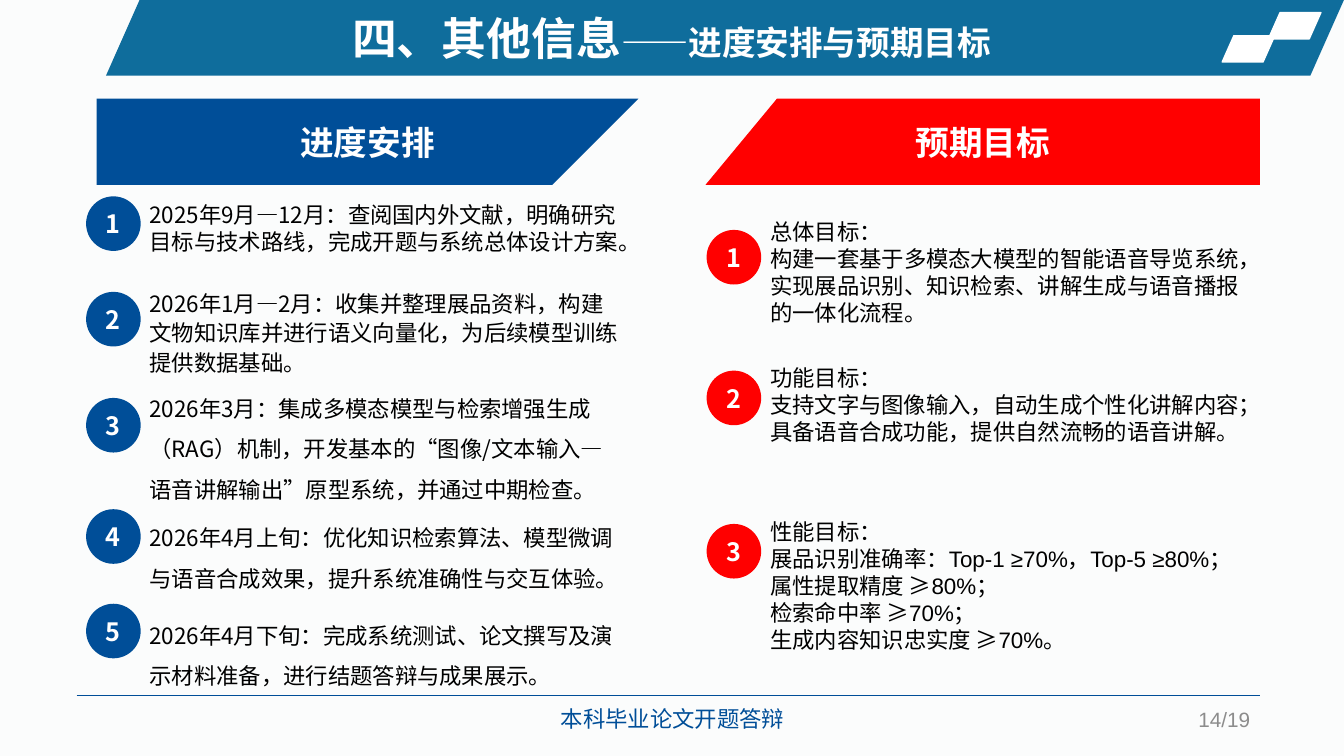
"""Build the schedule and expected goals slide of a thesis proposal deck."""
from dataclasses import dataclass

from lxml.etree import SubElement
from pptx import Presentation
from pptx.dml.color import RGBColor
from pptx.enum.shapes import MSO_CONNECTOR as Connector
from pptx.enum.shapes import MSO_SHAPE as Preset
from pptx.enum.text import MSO_ANCHOR as Anchor
from pptx.enum.text import MSO_AUTO_SIZE as AutoSize
from pptx.enum.text import PP_ALIGN as Align
from pptx.oxml.ns import qn
from pptx.util import Emu, Pt

PX = 9525
BADGE = 52
TEXT_GAP = 53


@dataclass(frozen=True)
class Theme:
    paper: str = "FBFCFC"
    banner: str = "0F6D9C"
    blue: str = "004E98"
    red: str = "FF0000"
    white: str = "FFFFFF"
    black: str = "000000"
    grey: str = "8C8C8C"
    sans: str = "Arial"
    cjk: str = "Noto Sans CJK SC"
    title: float = 32
    heading: float = 24
    badge: float = 18
    body: float = 16
    number: float = 14.8


THEME = Theme()


@dataclass(frozen=True)
class Box:
    left: int
    top: int
    width: int
    height: int

    def emu(self) -> list[Emu]:
        return [Emu(v * PX) for v in (self.left, self.top, self.width, self.height)]


@dataclass(frozen=True)
class Style:
    size: float
    color: str
    font: str = THEME.cjk
    bold: bool = False


@dataclass(frozen=True)
class Item:
    badge_top: int
    text_top: int
    height: int
    lines: tuple[str, ...]
    spacing: float = 1.0
    width: int = 468


@dataclass(frozen=True)
class Column:
    heading: str
    color: str
    outline: tuple[tuple[int, int], ...]
    badge_left: int
    font: str
    items: tuple[Item, ...]


COLUMNS = (
    Column("进度安排", THEME.blue, ((92, 94), (608, 94), (526, 176), (92, 176)), 82, THEME.cjk, (
        Item(187, 187, 82, ("2025年9月—12月：查阅国内外文献，明确研究目标与技术路线，完成开题与系统总体设计方案。",)),
        Item(278, 269, 84, ("2026年1月—2月：收集并整理展品资料，构建文物知识库并进行语义向量化，为后续模型训练提供数据基础。",), 1.1),
        Item(379, 359, 126, ("2026年3月：集成多模态模型与检索增强生成（RAG）机制，开发基本的“图像/文本输入—语音讲解输出”原型系统，并通过中期检查。",), 1.5),
        Item(485, 482, 87, ("2026年4月上旬：优化知识检索算法、模型微调与语音合成效果，提升系统准确性与交互体验。",), 1.5),
        Item(575, 575, 87, ("2026年4月下旬：完成系统测试、论文撰写及演示材料准备，进行结题答辩与成果展示。",), 1.5),
    )),
    Column("预期目标", THEME.red, ((740, 94), (1200, 94), (1200, 176), (672, 176)), 673, THEME.sans, (
        Item(219, 203, 99, (
            "总体目标：",
            "构建一套基于多模态大模型的智能语音导览系统，实现展品识别、知识检索、讲解生成与语音播报的一体化流程。",
        )),
        Item(353, 342, 101, (
            "功能目标：",
            "支持文字与图像输入，自动生成个性化讲解内容；",
            "具备语音合成功能，提供自然流畅的语音讲解。",
        ), width=481),
        Item(499, 489, 139, (
            "性能目标：",
            "展品识别准确率：Top-1 ≥70%，Top-5 ≥80%；",
            "属性提取精度 ≥80%；",
            "检索命中率 ≥70%；",
            "生成内容知识忠实度 ≥70%。",
        )),
    )),
)


def add_run(para, text: str, style: Style) -> None:
    span = para.add_run()
    span.text = text
    span.font.size = Pt(style.size)
    span.font.bold = style.bold
    span.font.name = style.font
    span.font.color.rgb = RGBColor.from_string(style.color)
    SubElement(span.font._element, qn("a:ea")).set("typeface", THEME.cjk)


def write(frame, lines: tuple[str, ...], style: Style, align=Align.LEFT,
          anchor=Anchor.TOP, spacing: float = 1.0) -> None:
    frame.word_wrap = True
    frame.vertical_anchor = anchor
    for index, line in enumerate(lines):
        para = frame.add_paragraph() if index else frame.paragraphs[0]
        para.alignment = align
        para.line_spacing = spacing
        add_run(para, line, style)


def paint(shape, color: str) -> None:
    shape.shadow.inherit = False
    shape.fill.solid()
    shape.fill.fore_color.rgb = RGBColor.from_string(color)
    shape.line.fill.background()


def add_preset(page, preset, box: Box, color: str):
    shape = page.shapes.add_shape(preset, *box.emu())
    paint(shape, color)
    return shape


def add_slanted(page, box: Box, color: str):
    shape = add_preset(page, Preset.PARALLELOGRAM, box, color)
    shape.adjustments[0] = 0.444
    return shape


def add_text(page, box: Box, lines: tuple[str, ...], style: Style, **layout) -> None:
    write(page.shapes.add_textbox(*box.emu()).text_frame, lines, style, **layout)


def draw_banner(page) -> None:
    add_slanted(page, Box(101, 0, 1179, 72), THEME.banner)
    for left, top in ((1208, 12), (1164, 34)):
        tile = add_slanted(page, Box(left, top, 50, 25), THEME.white)
        tile.line.color.rgb = RGBColor.from_string(THEME.white)
        tile.line.width = Pt(1)
    title = page.shapes.title
    title.left, title.top, title.width, title.height = Box(186, 5, 907, 61).emu()
    frame = title.text_frame
    frame.auto_size = AutoSize.NONE
    write(frame, ("四、其他信息",), Style(THEME.title, THEME.white, bold=True), Align.CENTER, Anchor.MIDDLE)
    add_run(frame.paragraphs[0], "——进度安排与预期目标", Style(THEME.heading, THEME.white, bold=True))
    title.element.getparent().append(title.element)


def draw_footer(page) -> None:
    rule = page.shapes.add_connector(Connector.STRAIGHT, *[Emu(v * PX) for v in (73, 662, 1200, 662)])
    rule.line.color.rgb = RGBColor.from_string(THEME.blue)
    rule.line.width = Pt(0.5)
    SubElement(rule.element.spPr, qn("a:effectLst"))
    add_text(page, Box(506, 667, 269, 36), ("本科毕业论文开题答辩",),
             Style(THEME.body, THEME.blue, THEME.sans), align=Align.CENTER)
    add_text(page, Box(917, 668, 283, 34), ("14/19",), Style(THEME.number, THEME.grey, THEME.sans),
             align=Align.RIGHT, anchor=Anchor.MIDDLE)


def draw_column(page, column: Column) -> None:
    start, *corners = column.outline
    builder = page.shapes.build_freeform(*start, scale=PX)
    builder.add_line_segments(corners, close=True)
    heading = builder.convert_to_shape()
    paint(heading, column.color)
    write(heading.text_frame, (column.heading,), Style(THEME.heading, THEME.white, bold=True),
          Align.CENTER, Anchor.MIDDLE)
    for number, item in enumerate(column.items, 1):
        badge = add_preset(page, Preset.OVAL, Box(column.badge_left, item.badge_top, BADGE, BADGE), column.color)
        write(badge.text_frame, (str(number),), Style(THEME.badge, THEME.white, bold=True),
              Align.CENTER, Anchor.MIDDLE)
        add_text(page, Box(column.badge_left + TEXT_GAP - 2, item.text_top, item.width, item.height),
                 item.lines, Style(THEME.body, THEME.black, column.font), spacing=item.spacing)


def main() -> None:
    deck = Presentation()
    deck.slide_width, deck.slide_height = Emu(1280 * PX), Emu(720 * PX)
    page = deck.slides.add_slide(deck.slide_layouts[5])
    page.background.fill.solid()
    page.background.fill.fore_color.rgb = RGBColor.from_string(THEME.paper)
    draw_banner(page)
    draw_footer(page)
    for column in COLUMNS:
        draw_column(page, column)
    deck.save("out.pptx")


if __name__ == "__main__":
    main()
